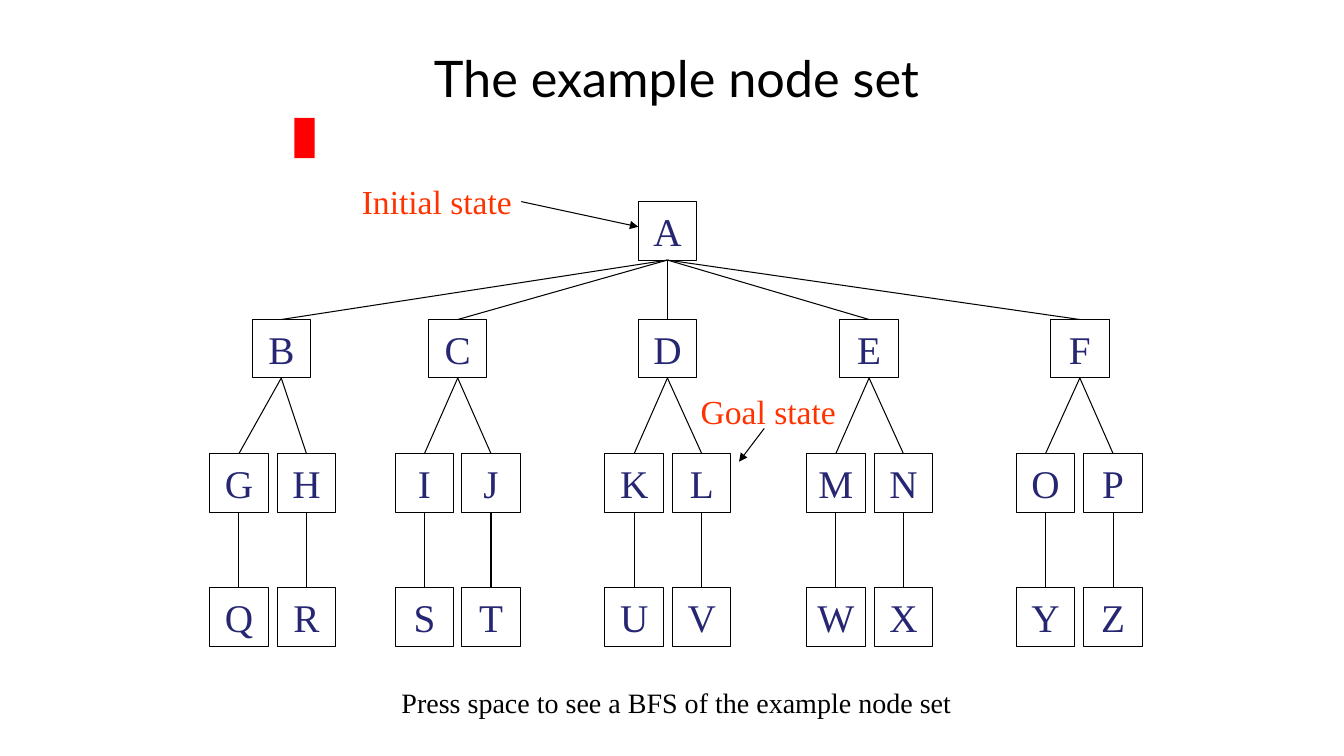
import pptx
import pptx.util
import pptx.dml.color
import pptx.enum.shapes
import pptx.enum.text
import pptx.oxml
import pptx.oxml.ns

Inches = pptx.util.Inches
Align = pptx.enum.text.PP_ALIGN
Anchor = pptx.enum.text.MSO_ANCHOR
Rectangle = pptx.enum.shapes.MSO_SHAPE.RECTANGLE
Straight = pptx.enum.shapes.MSO_CONNECTOR.STRAIGHT

COLORS = {"line": "000000", "text": "000000", "node": "262673", "state": "FF3300", "marker": "FF0000"}
SERIF = "Times New Roman"
NODE_SIZE = 0.58
LEVEL_TOPS = [2, 3.17, 4.5, 5.83]
ROOT = ("A", 6.33)
BRANCHES = [
    ("B", 2.5, [("G", 2.08, "Q"), ("H", 2.75, "R")]),
    ("C", 4.25, [("I", 3.92, "S"), ("J", 4.58, "T")]),
    ("D", 6.33, [("K", 6, "U"), ("L", 6.67, "V")]),
    ("E", 8.33, [("M", 8, "W"), ("N", 8.67, "X")]),
    ("F", 10.42, [("O", 10.08, "Y"), ("P", 10.75, "Z")]),
]
LABELS = [
    ("The example node set", (3.92, 0.42, 5.58, 0.7), dict(size=36, font="Lato")),
    ("Initial state", (3.49, 1.75, 1.92, 0.51), dict(size=24, color="state", align=Align.LEFT)),
    ("Goal state", (6.83, 3.83, 1.58, 0.51), dict(size=24, color="state")),
    ("Press space to see a BFS of the example node set", (3.75, 6.75, 5.92, 0.44), dict(size=20)),
]
ARROWS = [((5.17, 2), (6.33, 2.25)), ((7.58, 4.25), (7.33, 4.58))]
MARKER = (2.92, 1.17, 0.2, 0.4)

presentation = pptx.Presentation()
presentation.slide_width = Inches(13.33)
presentation.slide_height = Inches(7.5)
slide = presentation.slides.add_slide(presentation.slide_layouts[6])


def rgb(name):
    return pptx.dml.color.RGBColor.from_string(COLORS[name])


def write(shape, text, size=28, font=SERIF, color="text", align=Align.CENTER, anchor=Anchor.TOP):
    frame = shape.text_frame
    frame.word_wrap = True
    frame.vertical_anchor = anchor
    paragraph = frame.paragraphs[0]
    paragraph.alignment = align
    run = paragraph.add_run()
    run.text = text
    run.font.size = pptx.util.Pt(size)
    run.font.name = font
    run.font.color.rgb = rgb(color)


def add_node(name, left, level):
    box = map(Inches, (left, LEVEL_TOPS[level], NODE_SIZE, NODE_SIZE))
    shape = slide.shapes.add_shape(Rectangle, *box)
    shape.shadow.inherit = False
    shape.fill.background()
    shape.line.color.rgb = rgb("line")
    shape.line.width = pptx.util.Pt(0.75)
    shape.text_frame.margin_left = shape.text_frame.margin_right = 0
    write(shape, name, color="node", anchor=Anchor.MIDDLE)
    return shape


def add_line(start=(0, 0), end=(0, 0)):
    connector = slide.shapes.add_connector(Straight, *map(Inches, start + end))
    connector.line.color.rgb = rgb("line")
    connector.line.width = pptx.util.Pt(0.75)
    properties = connector.element.spPr
    properties.append(pptx.oxml.parse_xml("<a:effectLst %s/>" % pptx.oxml.ns.nsdecls("a")))
    return connector


def join(parent, child):
    connector = add_line()
    connector.begin_connect(parent, 2)
    connector.end_connect(child, 0)


root = add_node(*ROOT, 0)
for branch_name, branch_left, children in BRANCHES:
    branch = add_node(branch_name, branch_left, 1)
    join(root, branch)
    for child_name, child_left, leaf_name in children:
        child = add_node(child_name, child_left, 2)
        leaf = add_node(leaf_name, child_left, 3)
        join(branch, child)
        join(child, leaf)

marker = slide.shapes.add_shape(Rectangle, *map(Inches, MARKER))
marker.shadow.inherit = False
marker.fill.solid()
marker.fill.fore_color.rgb = rgb("marker")
marker.line.fill.background()

for text, box, style in LABELS:
    write(slide.shapes.add_textbox(*map(Inches, box)), text, **style)

for start, end in ARROWS:
    arrow = add_line(start, end)
    head = pptx.oxml.parse_xml('<a:tailEnd %s type="triangle"/>' % pptx.oxml.ns.nsdecls("a"))
    arrow.line._get_or_add_ln().append(head)

presentation.save("out.pptx")
